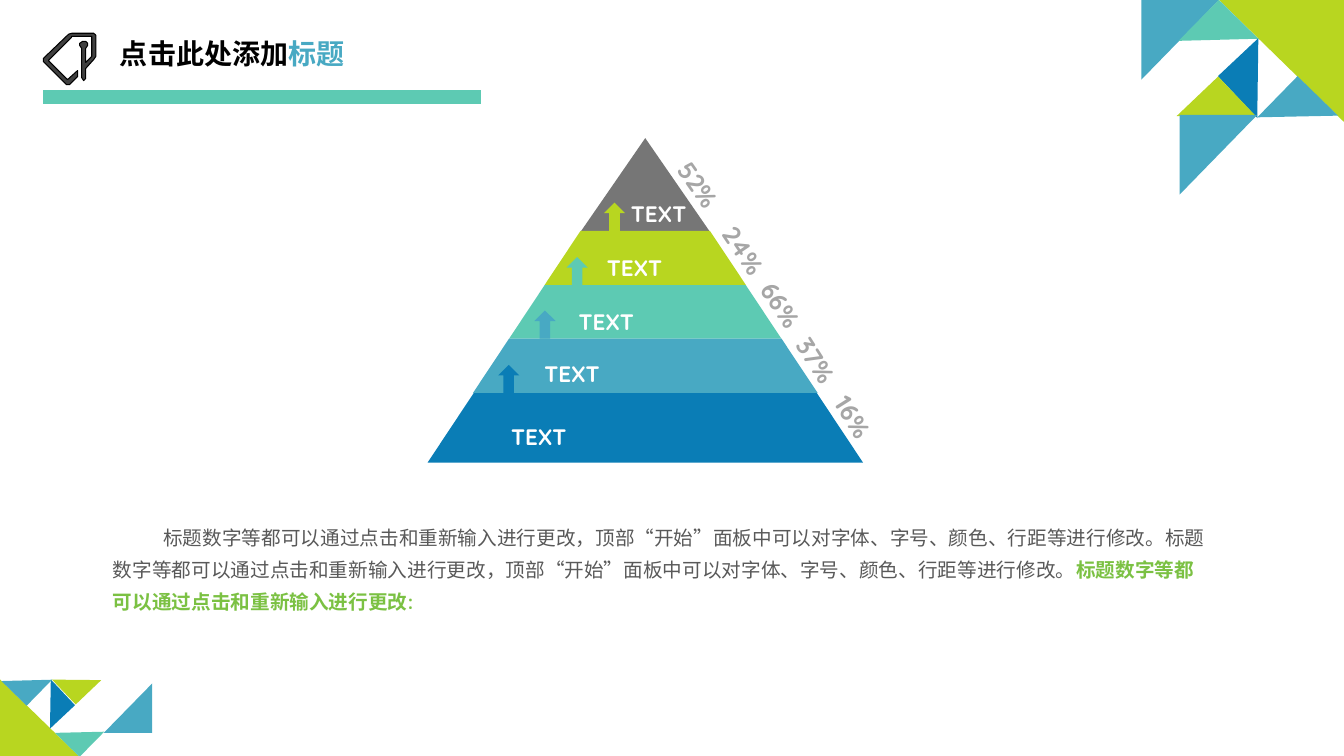
from lxml.etree import SubElement
from pptx import Presentation
from pptx.dml.color import RGBColor
from pptx.enum.lang import MSO_LANGUAGE_ID
from pptx.enum.shapes import MSO_CONNECTOR, MSO_SHAPE
from pptx.enum.text import MSO_ANCHOR, MSO_AUTO_SIZE, PP_ALIGN
from pptx.oxml.ns import qn
from pptx.util import Inches, Pt

COLORS = {
    "black": "000000", "white": "FFFFFF", "charcoal": "404040",
    "gray": "767676", "text": "595959", "percent": "A6A6A6",
    "lime": "B8D620", "teal": "5DCAB3", "sky": "48A9C3",
    "blue": "0A7DB6", "green": "7BC143",
}
FONT = "Quicksand"
SLIDE_W, SLIDE_H = 13.33, 7.5

TAG_OUTLINE = [
    (50, 0), (28, 0), (25, 1), (0, 25), (0, 28), (23, 51), (26, 51),
    (34, 43), (34, 37), (24, 46), (5, 27), (28, 4), (28, 3), (48, 3),
    (48, 23), (42, 29), (42, 15), (44, 12), (44, 10), (42, 8), (39, 8),
    (36, 10), (36, 12), (38, 15), (38, 44), (40, 47), (42, 45), (42, 35),
    (50, 26), (52, 23), (52, 2),
]
TOP_TRIANGLES = [
    (0.78, -0.02, 1.22, 1.25, 270, "lime"),
    (0, 0, 0.77, 0.79, 180, "sky"),
    (0.49, 0.11, 0.55, 0.57, 224.5, "teal"),
    (0.88, 0.49, 0.55, 0.57, 136.8, "blue"),
    (1.27, 0.87, 0.56, 0.57, 224.3, "sky"),
    (0.47, 0.87, 0.55, 0.57, 226.4, "lime"),
    (0.38, 1.14, 0.77, 0.79, 180, "sky"),
]
BOTTOM_TRIANGLES = [
    (0.01, 0.16, 0.76, 0.78, 90, "lime"),
    (0.62, 0.52, 0.34, 0.35, 44.5, "teal"),
    (0.33, 0.24, 0.34, 0.35, 316.8, "blue"),
    (0.09, 0, 0.35, 0.36, 44.3, "sky"),
    (0.59, 0, 0.34, 0.35, 46.4, "lime"),
    (1.03, 0.21, 0.48, 0.49, 0, "sky"),
]
LEVELS = [
    (1.27, 0.92, 1.92, 0.57, None, "gray"),
    (2.0, 0.54, 1.68, 1.1, 1.75, "lime"),
    (2.7, 0.53, 1.4, 1.64, 1.38, "teal"),
    (3.42, 0.54, 1.06, 2.15, 1.06, "sky"),
    (4.32, 0.69, 0.73, 2.78, 0.7, "blue"),
]
PERCENTS = [
    ("52%", 2.34, 0.28, 55.2), ("24%", 2.78, 0.91, 56.1),
    ("66%", 3.16, 1.47, 56.1), ("37%", 3.51, 2.02, 57.7),
    ("16%", 3.89, 2.6, 57.7),
]
SENTENCE = ("标题数字等都可以通过点击和重新输入进行更改，顶部“开始”面板中"
            "可以对字体、字号、颜色、行距等进行修改。")
HIGHLIGHT = "标题数字等都可以通过点击和重新输入进行更改:"


def rgb(name):
    return RGBColor.from_string(COLORS[name])


def add_run(p, text, color, size, bold=True):
    r = p.add_run()
    r.text = text
    formats = {"name": FONT, "size": Pt(size), "bold": bold,
               "language_id": MSO_LANGUAGE_ID.SIMPLIFIED_CHINESE}
    for key, value in formats.items():
        setattr(r.font, key, value)
    r.font.color.rgb = rgb(color)


def add_filled(shapes, kind, box, color, rotation=0, adj=None):
    sp = shapes.add_shape(kind, *map(Inches, box))
    sp.shadow.inherit = False
    sp.fill.solid()
    sp.fill.fore_color.rgb = rgb(color)
    sp.line.fill.background()
    sp.rotation = rotation
    if adj is not None:
        sp.adjustments[0] = adj


def add_label(shapes, box, text, color, size, rotation=0):
    sp = shapes.add_textbox(*map(Inches, box))
    sp.rotation = rotation
    tf = sp.text_frame
    for key, value in {"word_wrap": True, "margin_right": 0,
                       "auto_size": MSO_AUTO_SIZE.NONE}.items():
        setattr(tf, key, value)
    add_run(tf.paragraphs[0], text, color, size)


def fill_placeholder(sp, box, anchor, runs, size, spacing, indent=0):
    sp.left, sp.top, sp.width, sp.height = map(Inches, box)
    tf = sp.text_frame
    for key, value in {"word_wrap": True, "vertical_anchor": anchor,
                       "auto_size": MSO_AUTO_SIZE.NONE}.items():
        setattr(tf, key, value)
    p = tf.paragraphs[0]
    pPr = p._p.get_or_add_pPr()
    pPr.set("marL", "0")
    pPr.set("indent", str(Inches(indent)))
    SubElement(pPr, qn("a:buNone"))
    for key, value in {"alignment": PP_ALIGN.LEFT, "line_spacing": spacing,
                       "space_before": Pt(0)}.items():
        setattr(p, key, value)
    for text, color, bold in runs:
        add_run(p, text, color, size, bold)


def add_triangles(s, left, top, triangles):
    for x, y, w, h, rotation, color in triangles:
        add_filled(s.shapes, MSO_SHAPE.ISOSCELES_TRIANGLE,
                   (left + x, top + y, w, h), color, rotation, 1)


def add_header(s, left, top, width):
    points = [(Inches(left + x / 100), Inches(top + y / 100))
              for x, y in TAG_OUTLINE]
    builder = s.shapes.build_freeform(*points[0])
    builder.add_line_segments(points[1:])
    tag = builder.convert_to_shape()
    tag.shadow.inherit = False
    tag.fill.solid()
    tag.fill.fore_color.rgb = rgb("charcoal")
    tag.line.color.rgb = rgb("black")
    tag.line.width = Pt(0.75)

    y = top + 0.63
    rule = s.shapes.add_connector(
        MSO_CONNECTOR.STRAIGHT, *map(Inches, (left, y, left + width, y)))
    rule.line.color.rgb = rgb("teal")
    rule.line.width = Pt(10)
    SubElement(rule._element.spPr, qn("a:effectLst"))

    fill_placeholder(s.shapes.title, (left + 0.66, top - 0.07, 4.88, 0.58),
                     MSO_ANCHOR.MIDDLE,
                     [("点击此处添加", "black", True), ("标题", "sky", True)],
                     20, 0.9)


def add_pyramid(s, left, top, width):
    y = top
    for w, h, label_x, label_y, arrow_x, color in LEVELS:
        shapes = s.shapes.add_group_shape().shapes
        box = (left + (width - w) / 2, y, w, h)
        if arrow_x is None:
            add_filled(shapes, MSO_SHAPE.ISOSCELES_TRIANGLE, box, color)
        else:
            add_filled(shapes, MSO_SHAPE.TRAPEZOID, box, color, adj=0.664)
            add_filled(shapes, MSO_SHAPE.UP_ARROW,
                       (left + arrow_x, y - 0.28, 0.21, 0.28), color)
        add_label(shapes, (left + label_x, top + label_y, 0.78, 0.37),
                  "TEXT", "white", 16)
        y += h
    for text, x, dy, rotation in PERCENTS:
        add_label(s.shapes, (left + x, top + dy, 0.71, 0.4),
                  text, "percent", 18, rotation)


def add_description(s, box):
    runs = [(SENTENCE * 2, "text", False), (HIGHLIGHT, "green", True)]
    fill_placeholder(s.placeholders[1], box, MSO_ANCHOR.TOP, runs,
                     14, 1.35, 0.5)


def main():
    prs = Presentation()
    prs.slide_width, prs.slide_height = Inches(SLIDE_W), Inches(SLIDE_H)
    s = prs.slides.add_slide(prs.slide_layouts[1])
    add_header(s, 0.43, 0.33, 4.34)
    add_triangles(s, 0, SLIDE_H - 0.93, BOTTOM_TRIANGLES)
    add_triangles(s, SLIDE_W - 2.01, 0, TOP_TRIANGLES)
    add_pyramid(s, 4.24, 1.37, 4.32)
    add_description(s, (1.02, 5.09, 11.05, 1.06))
    prs.save("out.pptx")


if __name__ == "__main__":
    main()
